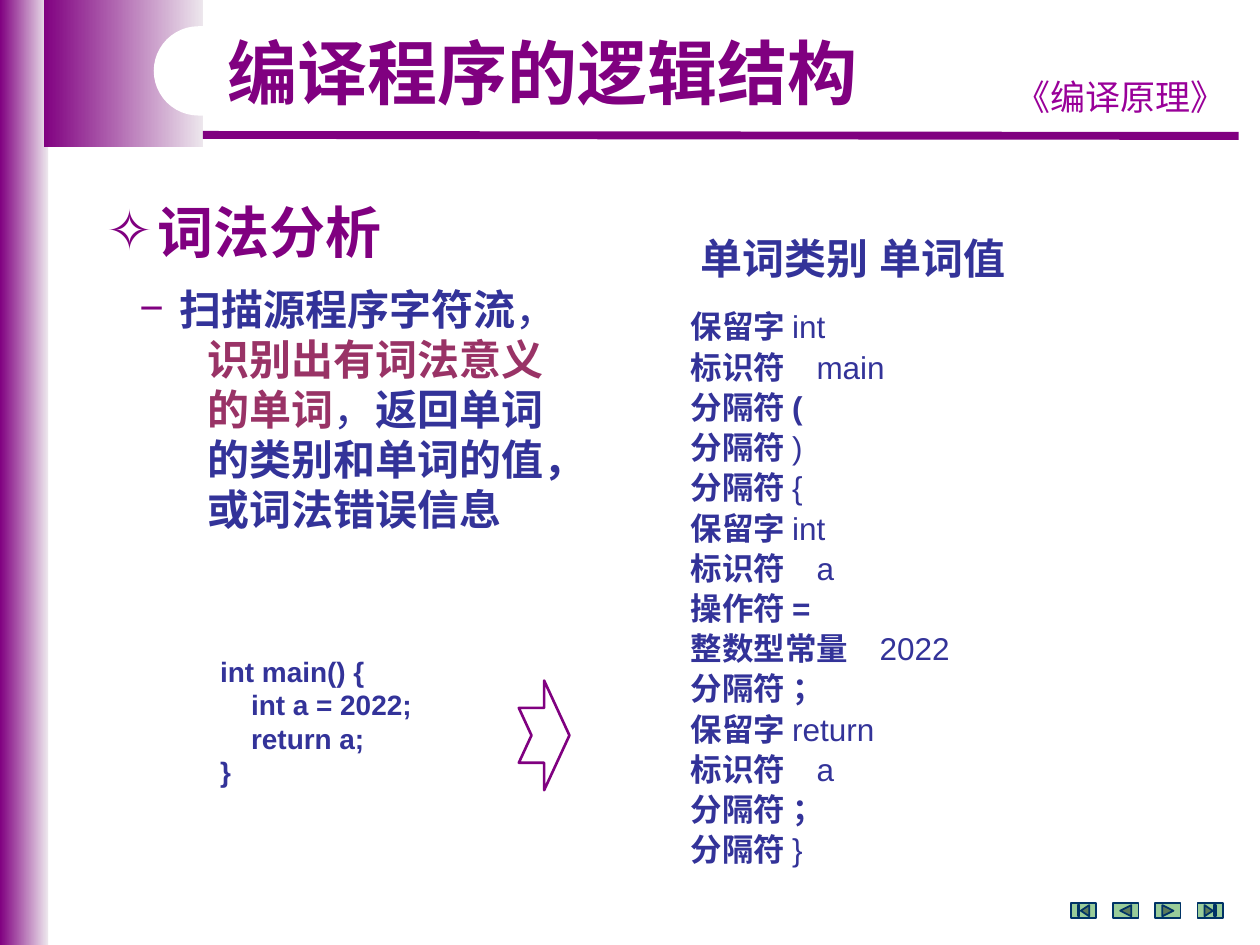
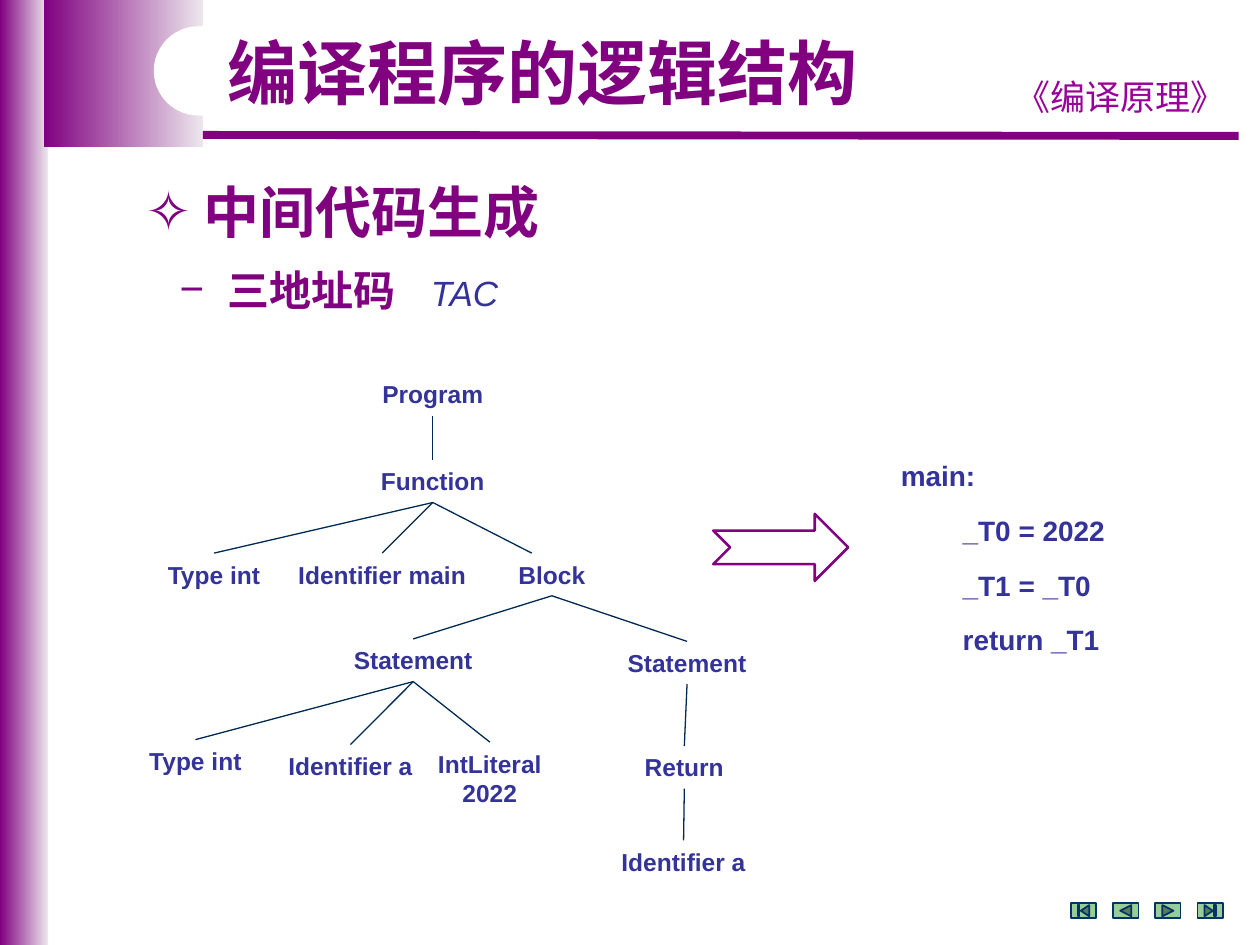
from lxml import etree
from pptx import Presentation
from pptx import util as u
from pptx.dml.color import RGBColor
from pptx.enum import shapes, text
from pptx.oxml.ns import qn

PURPLE, VIOLET, NAVY, WINE = "800080", "990099", "333399", "993366"
LAVENDER, WHITE, GREEN, TEAL, INK = "EDE7ED", "FFFFFF", "99CC99", "003366", "002954"
LATIN, CJK = "Arial", "Noto Sans CJK SC"
TITLE = "编译程序的逻辑结构"
MSO = shapes.MSO_SHAPE
CENTER = text.PP_ALIGN.CENTER

TOKENS = [
    ("保留字", "int"), ("标识符", "main"), ("分隔符", "("), ("分隔符", ")"),
    ("分隔符", "{"), ("保留字", "int"), ("标识符", "a"), ("操作符", "="),
    ("整数型常量", "2022"), ("分隔符", "；"), ("保留字", "return"),
    ("标识符", "a"), ("分隔符", "；"), ("分隔符", "}"),
]
WITH_VALUE = ("标识符", "整数型常量")
BOLD_SYMBOLS = ("(", "=", "；")

SOURCE_CODE = ["int main() {", "    int a = 2022;", "    return a;", "}"]
TAC_CODE = ["main:", "        _T0 = 2022", "        _T1 = _T0", "        return _T1"]

# key: (label, left, top, width, height) in cm
TREE_NODES = {
    "program": ("Program", 7.24, 7.52, 2.97, 0.86),
    "function": ("Function", 6.02, 9.27, 5.41, 0.86),
    "type": ("Type int", 2.84, 11.15, 2.95, 0.86),
    "name": ("Identifier main", 5.66, 11.15, 4.09, 0.86),
    "block": ("Block", 9.73, 11.15, 2.79, 0.86),
    "declare": ("Statement", 6.88, 12.88, 2.9, 0.86),
    "finish": ("Statement", 12.4, 12.93, 2.9, 0.86),
    "var_type": ("Type int", 2.49, 14.91, 2.9, 0.86),
    "var_name": ("Identifier a", 5.54, 15.01, 3.05, 0.86),
    "literal": ("IntLiteral 2022", 8.48, 14.96, 2.79, 1.45),
    "return": ("Return", 12.4, 15.04, 2.79, 0.86),
    "result": ("Identifier a", 12.22, 16.94, 3.12, 0.86),
}
TREE_EDGES = {
    "program": ["function"],
    "function": ["type", "name", "block"],
    "block": ["declare", "finish"],
    "declare": ["var_type", "var_name", "literal"],
    "finish": ["return"],
    "return": ["result"],
}
EDGE_ENDS = {"block": (10.72, 11.15)}  # edges that end away from the label's middle


def rgb(value):
    return RGBColor.from_string(value)


def cm(*values):
    return [u.Cm(v) for v in values]


def add_run(p, words, size, color, bold=True, italic=False, font=LATIN):
    r = p.add_run()
    r.text = words
    r.font.name = font
    etree.SubElement(r._r.get_or_add_rPr(), qn("a:ea")).set("typeface", CJK)
    r.font.size = u.Pt(size)
    r.font.bold = bold
    r.font.italic = italic
    r.font.color.rgb = rgb(color)


def next_paragraph(tf):
    """Return the empty first paragraph, or a new one."""
    first = tf.paragraphs[0]
    return tf.add_paragraph() if first.runs else first


def space(p, line, before=0, after=0):
    p.line_spacing = u.Pt(line)
    p.space_before = u.Pt(before)
    p.space_after = u.Pt(after)


def indent(p, left=0, hanging=0, bullet=None, tab=None):
    pPr = p._p.get_or_add_pPr()
    pPr.set("marL", str(u.Cm(left)))
    pPr.set("indent", str(-u.Cm(hanging)))
    if bullet:
        color = etree.SubElement(pPr, qn("a:buClr"))
        etree.SubElement(color, qn("a:srgbClr")).set("val", PURPLE)
        etree.SubElement(pPr, qn("a:buChar")).set("char", bullet)
    else:
        etree.SubElement(pPr, qn("a:buNone"))
    if tab:
        stop = etree.SubElement(etree.SubElement(pPr, qn("a:tabLst")), qn("a:tab"))
        stop.set("pos", str(u.Cm(tab)))
        stop.set("algn", "l")


def set_frame(sp, side=0.25):
    tf = sp.text_frame
    tf.word_wrap = True
    tf.auto_size = text.MSO_AUTO_SIZE.NONE
    tf.vertical_anchor = text.MSO_ANCHOR.TOP
    tf.margin_left = tf.margin_right = u.Cm(side)
    tf.margin_top = tf.margin_bottom = u.Cm(0.13)
    return tf


def place(sp, *box):
    sp.left, sp.top, sp.width, sp.height = cm(*box)
    return set_frame(sp)


def add_text(slide, box, lines, size, color=NAVY, bold=True, font=LATIN,
             line=None, align=None, gap=0, side=0.25):
    sp = slide.shapes.add_textbox(*cm(*box))
    tf = set_frame(sp, side)
    for i, words in enumerate(lines):
        p = next_paragraph(tf)
        p.alignment = align
        space(p, line or 1.2 * size, gap if i else 0, gap)
        add_run(p, words, size, color, bold, font=font)
    return sp


def add_shape(slide, kind, box, fill=None, line=None, width=1):
    sp = slide.shapes.add_shape(kind, *cm(*box))
    sp.shadow.inherit = False
    if fill:
        sp.fill.solid()
        sp.fill.fore_color.rgb = rgb(fill)
    else:
        sp.fill.background()
    if line:
        sp.line.color.rgb = rgb(line)
        sp.line.width = u.Pt(width)
    else:
        sp.line.fill.background()
    return sp


def add_band(slide, box):
    sp = add_shape(slide, MSO.RECTANGLE, box)
    sp.fill.gradient()
    sp.fill.gradient_angle = 0
    for stop, color in zip(sp.fill.gradient_stops, (PURPLE, LAVENDER)):
        stop.color.rgb = rgb(color)
    return sp


def add_line(slide, start, end, color, width):
    c = slide.shapes.add_connector(shapes.MSO_CONNECTOR.STRAIGHT, *cm(*start, *end))
    c.line.color.rgb = rgb(color)
    c.line.width = u.Pt(width)
    etree.SubElement(c._element.spPr, qn("a:effectLst"))
    return c


def add_arrow(slide, box):
    sp = add_shape(slide, MSO.NOTCHED_RIGHT_ARROW, box, line=PURPLE, width=1.5)
    sp.adjustments[0] = sp.adjustments[1] = 0.5


def decorate_master(prs, slide):
    """Build the shared decoration on a slide, then move it to the master."""
    pill = add_shape(slide, MSO.ROUNDED_RECTANGLE, (3.1, 0.53, 9.19, 1.8), WHITE)
    pill.adjustments[0] = 0.5
    parts = [
        add_band(slide, (0, 0, 0.97, 19.05)),
        add_band(slide, (0.88, 0, 3.22, 2.97)),
        add_line(slide, (4.09, 2.72), (24.97, 2.74), PURPLE, 4.5),
        add_text(slide, (20.09, 1.32, 5, 1.09), ["《编译原理》"], 20, VIOLET,
                 bold=False, font=CJK, line=26, align=CENTER),
        pill,
    ]
    tree = prs.slide_master.shapes._spTree
    for number, part in enumerate(parts, 101):
        part._element.xpath(".//p:cNvPr")[0].set("id", str(number))
        tree.append(part._element)


def add_title(slide):
    tf = place(slide.shapes.title, 4.19, 0.53, 13.49, 1.78)
    p = tf.paragraphs[0]
    p.alignment = CENTER
    space(p, 46)
    add_run(p, TITLE, 40, PURPLE)


def add_buttons(slide):
    kinds = (MSO.ACTION_BUTTON_BEGINNING, MSO.ACTION_BUTTON_BACK_OR_PREVIOUS,
             MSO.ACTION_BUTTON_FORWARD_OR_NEXT, MSO.ACTION_BUTTON_END)
    for i, kind in enumerate(kinds):
        add_shape(slide, kind, (21.59 + 0.85 * i, 18.21, 0.51, 0.3), GREEN, TEAL)


def add_heading(tf, words, hanging):
    p = next_paragraph(tf)
    indent(p, hanging, hanging, "✧")
    space(p, 42)
    add_run(p, words, 32, PURPLE)


def add_point(tf, runs, left, hanging=0, before=0):
    p = next_paragraph(tf)
    p.level = 1
    indent(p, left, hanging, "−" if hanging else None)
    space(p, 28.7, before)
    for run in runs:
        add_run(p, *run)


def add_tokens(tf):
    p = next_paragraph(tf)
    indent(p, tab=6.17)
    space(p, 27.8)
    add_run(p, " 单词类别\t单词值", 24, NAVY)
    for i, (category, value) in enumerate(TOKENS):
        p = next_paragraph(tf)
        indent(p, tab=6.17)
        space(p, 23, 0 if i else 12.4)
        gap = "\t" if category in WITH_VALUE else " "
        add_run(p, category + gap, 18, NAVY)
        add_run(p, value, 18, NAVY, bold=value in BOLD_SYMBOLS)


def add_tree(slide):
    labels = {key: add_text(slide, box, [label], 14, align=CENTER, side=0)
              for key, (label, *box) in TREE_NODES.items()}
    for parent, children in TREE_EDGES.items():
        for child in children:
            end = EDGE_ENDS.get(child)
            c = add_line(slide, (0, 0), end or (0, 0), INK, 0.75)
            c.begin_connect(labels[parent], 2)
            if not end:
                c.end_connect(labels[child], 0)


def fill_lexing(slide):
    add_title(slide)
    tf = place(slide.placeholders[1], 1.9, 3.73, 10.4, 7.19)
    add_heading(tf, "词法分析", 1.02)
    add_point(tf, [("扫描源程序字符流", 24, NAVY), ("，", 24, NAVY, False)], 1.47, 0.81, 10.5)
    for runs in (
        [("识别出有词法意义", 24, WINE)],
        [("的单词", 24, WINE), ("，", 24, NAVY, False), ("返回单词", 24, NAVY)],
        [("的类别和单词的值，", 24, NAVY)],
        [("或词法错误信息", 24, NAVY)],
    ):
        add_point(tf, runs, 2.03)
    add_tokens(place(slide.placeholders[2], 13.67, 4.6, 11.25, 13.54))
    add_buttons(slide)
    add_arrow(slide, (10.46, 13.72, 1.02, 2.21))
    add_text(slide, (4.19, 13.06, 5.41, 3), SOURCE_CODE, 16)


def fill_intermediate_code(slide):
    add_title(slide)
    tf = place(slide.placeholders[1], 2.69, 3.33, 21.21, 3.07)
    add_heading(tf, "中间代码生成", 1.17)
    add_point(tf, [("三地址码", 24, PURPLE), ("　TAC", 20, NAVY, False, True)],
              1.65, 0.97, 11)
    add_arrow(slide, (14.38, 10.36, 2.72, 1.35))
    add_buttons(slide)
    add_tree(slide)
    add_text(slide, (17.91, 9.12, 6.4, 4.27), TAC_CODE, 16, gap=6)


def main():
    prs = Presentation()
    prs.slide_width, prs.slide_height = cm(25.4, 19.05)
    lexing = prs.slides.add_slide(prs.slide_layouts.get_by_name("Two Content"))
    decorate_master(prs, lexing)
    fill_lexing(lexing)
    fill_intermediate_code(
        prs.slides.add_slide(prs.slide_layouts.get_by_name("Title and Content")))
    prs.save("out.pptx")


if __name__ == "__main__":
    main()
